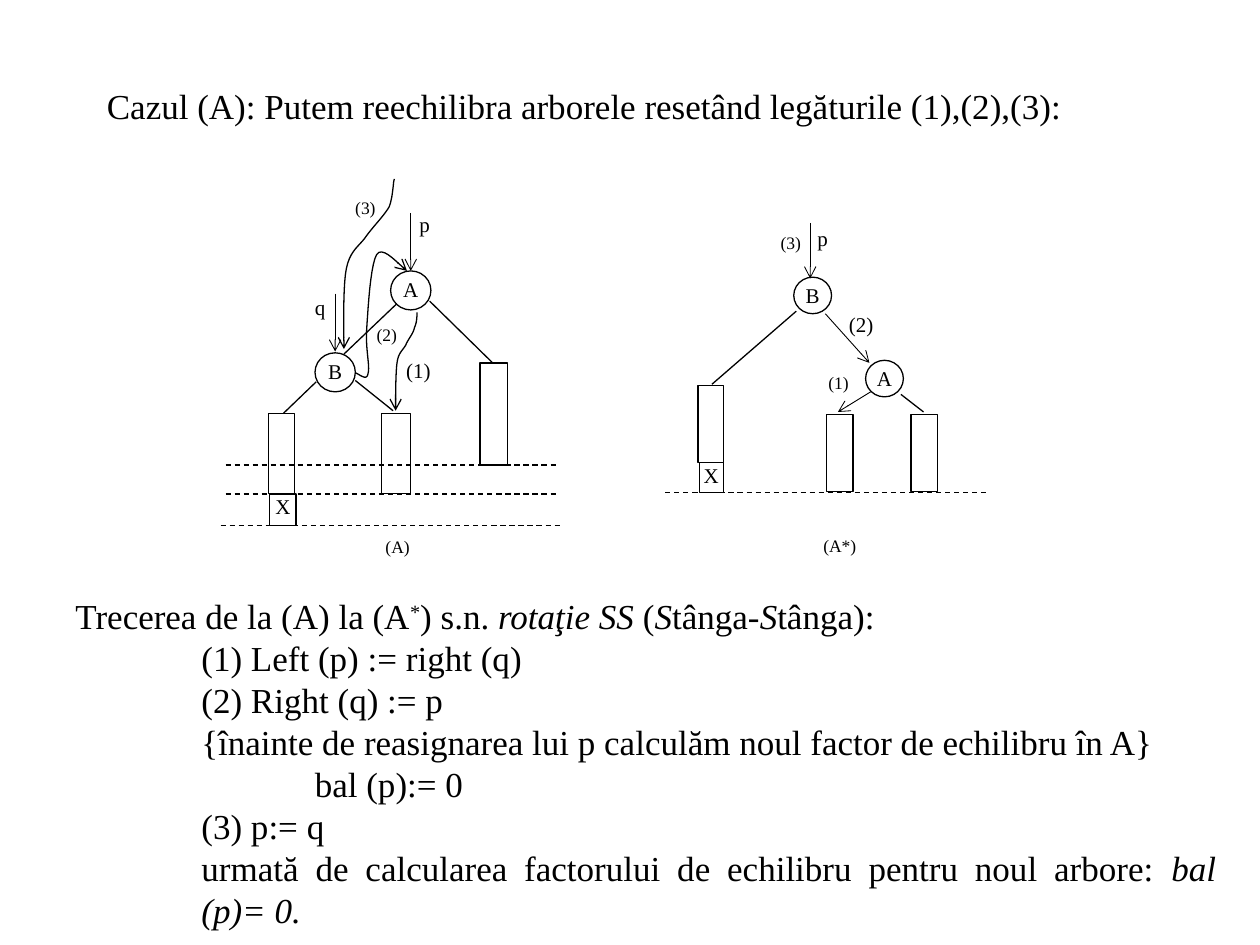
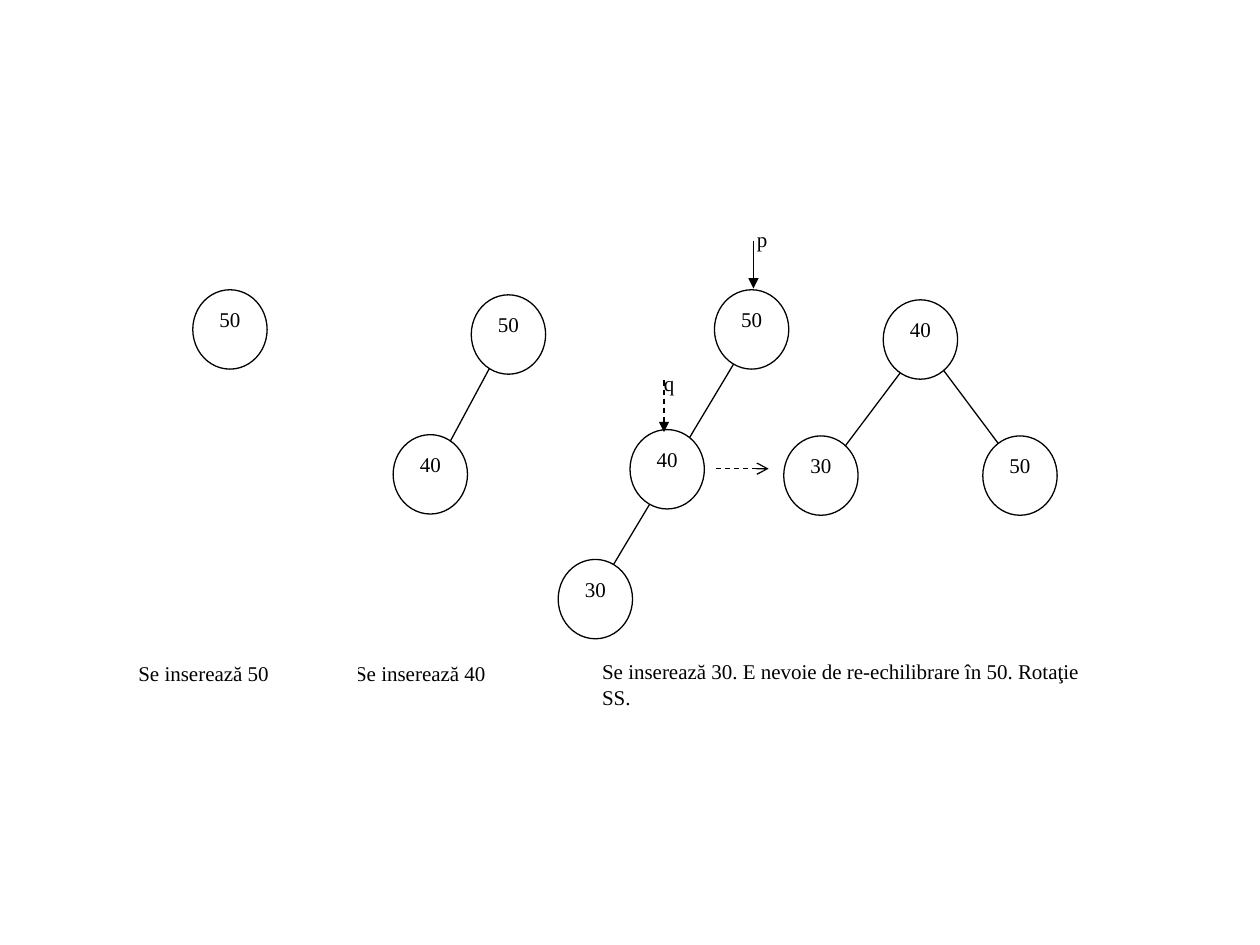
from lxml import etree
from pptx import Presentation
from pptx.dml.color import RGBColor
from pptx.enum import dml, shapes, text
from pptx.oxml import ns
from pptx.util import Emu, Pt

PX = 9144  # EMU per px, 100 px to the inch
INK = RGBColor(0, 0, 0)
PAPER = RGBColor(255, 255, 255)
FONT = "Times New Roman"
LEFT, CENTER, JUSTIFY = (text.PP_ALIGN.LEFT, text.PP_ALIGN.CENTER,
                         text.PP_ALIGN.JUSTIFY)
RECT = shapes.MSO_SHAPE.RECTANGLE
BOX_INSETS = (10, 5, 10, 5)
LABEL_INSETS = (4, 4, 4, 4)
NO_INSETS = (0, 0, 0, 0)


def px(*lengths):
    return [Emu(round(n * PX)) for n in lengths]


# Text
def add_run(paragraph, wording, size, style=""):
    run = paragraph.add_run()
    run.text = wording
    run.font.name = FONT
    run.font.size = Pt(size)
    run.font.color.rgb = INK
    run.font.italic = style == "italic"
    if style == "super":
        run.font._element.set("baseline", "30000")


def set_frame(shape, insets, anchor=text.MSO_ANCHOR.TOP):
    frame = shape.text_frame
    frame.word_wrap = True
    frame.vertical_anchor = anchor
    (frame.margin_left, frame.margin_top,
     frame.margin_right, frame.margin_bottom) = px(*insets)
    return frame


def write(shape, wording, size, align, insets):
    paragraph = set_frame(shape, insets).paragraphs[0]
    paragraph.alignment = align
    add_run(paragraph, wording, size)


# Lines
def ink_line(shape, width=0.75, dashed=False, head=None):
    shape.line.color.rgb = INK
    shape.line.width = Pt(width)
    if dashed:
        shape.line.dash_style = dml.MSO_LINE.DASH
    if head:
        ln = shape.line._get_or_add_ln()
        etree.SubElement(ln, ns.qn("a:tailEnd"), type=head)


def add_line(slide, x1, y1, x2, y2, width=0.75, dashed=False, head=None):
    line = slide.shapes.add_connector(
        shapes.MSO_CONNECTOR.STRAIGHT, *px(x1, y1, x2, y2))
    ink_line(line, width, dashed, head)
    etree.SubElement(line._element.spPr, ns.qn("a:effectLst"))


def bezier(p0, p1, p2, p3, steps=10):
    for i in range(1, steps + 1):
        t = i / steps
        weights = ((1 - t) ** 3, 3 * t * (1 - t) ** 2, 3 * t * t * (1 - t), t ** 3)
        yield tuple(sum(w * p[axis] for w, p in zip(weights, (p0, p1, p2, p3)))
                    for axis in (0, 1))


def add_curved_arrow(slide, points):
    """Draw a chain of cubic curves: a start, then three points for each."""
    track = [p for i in range(0, len(points) - 1, 3)
             for p in bezier(*points[i:i + 4])]
    builder = slide.shapes.build_freeform(*px(*points[0]), scale=1.0)
    builder.add_line_segments([px(*p) for p in track], close=False)
    curve = builder.convert_to_shape()
    curve.fill.background()
    curve.shadow.inherit = False
    ink_line(curve, head="arrow")


# Boxes and nodes
def add_box(slide, at, kind=RECT, outlined=True):
    box = slide.shapes.add_shape(kind, *px(*at))
    box.shadow.inherit = False
    box.fill.solid()
    box.fill.fore_color.rgb = PAPER
    if outlined:
        ink_line(box)
    else:
        box.line.fill.background()
    return box


def add_label(slide, wording, at, size=10, insets=LABEL_INSETS):
    write(slide.shapes.add_textbox(*px(*at)), wording, size, CENTER, insets)


def add_plate(slide, wording, at, align=LEFT, insets=BOX_INSETS):
    write(add_box(slide, at, outlined=False), wording, 12, align, insets)


def add_subtree(slide, at, mark=None):
    box = add_box(slide, at)
    if mark:
        write(box, mark, 12, CENTER, NO_INSETS)


def add_pointer_node(slide, name, at):
    node = add_box(slide, at, shapes.MSO_SHAPE.FLOWCHART_CONNECTOR)
    write(node, name, 12, CENTER, NO_INSETS)


def add_key_node(slide, key, left, top):
    node = add_box(slide, (left, top, 59, 63), shapes.MSO_SHAPE.OVAL)
    write(node, key, 12, CENTER, (0, 4, 0, 0))


# Slide 1: the rotation
def draw_tree_before(slide):
    add_plate(slide, "(1)", (313, 280, 38, 41), CENTER, LABEL_INSETS)
    add_label(slide, "(2)", (288, 253, 38, 41))
    add_label(slide, "(3)", (271, 152, 38, 41))
    add_plate(slide, "p", (321, 164, 32, 41), CENTER, LABEL_INSETS)
    add_plate(slide, "q", (238, 230, 32, 41), CENTER, LABEL_INSETS)
    add_pointer_node(slide, "B", (250, 280, 32, 31))
    add_pointer_node(slide, "A", (310, 215, 32, 31))
    for edge in ((315, 241, 273, 281), (251, 303, 225, 328),
                 (282, 302, 312, 326), (341, 239, 391, 288)):
        add_line(slide, *edge)
    for pointer in ((326, 169, 326, 215), (266, 233, 266, 279)):
        add_line(slide, *pointer, width=0.5, head="arrow")
    for link in (
        [(282, 296), (284, 296), (291, 303), (292, 297), (294, 291), (290, 278),
         (291, 262), (292, 246), (294, 210), (299, 202), (304, 194), (318, 212),
         (323, 215)],
        [(331, 248), (331, 250), (331, 256), (329, 260), (328, 265), (324, 269),
         (322, 274), (319, 279), (316, 280), (315, 289), (314, 297), (314, 318),
         (314, 326)],
        [(313, 142), (312, 145), (312, 156), (309, 164), (305, 171), (297, 179),
         (291, 187), (286, 195), (278, 198), (275, 213), (272, 227), (273, 263),
         (273, 277)],
    ):
        add_curved_arrow(slide, link)
    for subtree in ((381, 288, 22, 81), (213, 328, 21, 64), (303, 328, 23, 64)):
        add_subtree(slide, subtree)
    add_subtree(slide, (214, 392, 21, 25), "X")
    for left, right, level in ((179, 444, 369), (179, 444, 392), (175, 446, 417)):
        add_line(slide, left, level, right, level, dashed=True)
    add_label(slide, "(A)", (293, 425, 45, 35), insets=NO_INSETS)


def draw_tree_after(slide):
    add_label(slide, "p", (638, 175, 30, 39), 12)
    add_label(slide, "(1)", (648, 291, 35, 30))
    add_label(slide, "(2)", (666, 243, 35, 39), 12)
    add_label(slide, "(3)", (610, 180, 35, 39))
    add_pointer_node(slide, "B", (630, 220, 30, 29))
    add_pointer_node(slide, "A", (687, 286, 30, 29))
    for link in ((691, 311, 665, 327), (655, 249, 690, 288), (643, 177, 643, 221)):
        add_line(slide, *link, width=0.5, head="arrow")
    for edge in ((632, 247, 565, 305), (715, 313, 733, 327)):
        add_line(slide, *edge)
    for subtree in ((656, 329, 21, 61), (723, 329, 21, 61), (554, 306, 20, 61)):
        add_subtree(slide, subtree)
    add_line(slide, 528, 391, 783, 391, dashed=True)
    add_subtree(slide, (555, 367, 19, 24), "X")
    add_label(slide, "(A*)", (643, 425, 47, 33), insets=NO_INSETS)


def write_steps(slide):
    steps = (
        (0, [("Trecerea de la (A) la (A", ""), ("*", "super"), (") s.n. ", ""),
             ("rotaţie SS", "italic"), (" (", ""), ("S", "italic"),
             ("tânga-", ""), ("S", "italic"), ("tânga):", "")]),
        (100, [("(1) Left (p) := right (q)", "")]),
        (100, [("(2) Right (q) := p", "")]),
        (100, [("{înainte de reasignarea lui p calculăm noul factor "
                "de echilibru în A}", "")]),
        (190, [("bal (p):= 0", "")]),
        (100, [("(3) p:= q", "")]),
        (100, [("urmată de calcularea factorului de echilibru pentru "
                "noul arbore: ", ""), ("bal (p)= 0.", "italic")]),
    )
    frame = set_frame(slide.shapes.add_textbox(*px(50, 467, 925, 244)), BOX_INSETS)
    for i, (indent, runs) in enumerate(steps):
        paragraph = frame.add_paragraph() if i else frame.paragraphs[0]
        paragraph.alignment = JUSTIFY
        paragraph._p.get_or_add_pPr().set("marL", str(indent * PX))
        for wording, style in runs:
            add_run(paragraph, wording, 20, style)


def build_rotation(slide):
    heading = set_frame(slide.shapes.add_textbox(*px(75, 67, 850, 33)),
                        BOX_INSETS, text.MSO_ANCHOR.MIDDLE)
    add_run(heading.paragraphs[0],
            "Cazul (A): Putem reechilibra arborele resetând legăturile (1),(2),(3):", 20)
    draw_tree_before(slide)
    draw_tree_after(slide)
    write_steps(slide)


# Slide 2: inserting 50, 40 and 30
def build_insertions(slide):
    add_plate(slide, "Se inserează 40", (272, 519, 184, 59), JUSTIFY)
    add_plate(slide, "Se inserează 50", (100, 519, 184, 59), JUSTIFY)
    add_plate(slide, "Se inserează 30. E nevoie de re-echilibrare în 50. Rotaţie SS.",
              (468, 518, 399, 82))
    add_plate(slide, "p", (591, 175, 43, 49))
    add_plate(slide, "q", (517, 289, 43, 49))

    for edge in ((401, 269, 336, 390), (599, 261, 457, 498),
                 (731, 270, 814, 381), (734, 270, 652, 379)):
        add_line(slide, *edge)
    for key, left, top in (
        ("50", 153, 230),
        ("50", 374, 234), ("40", 312, 345),
        ("50", 567, 230), ("40", 500, 341), ("30", 443, 444),
        ("40", 701, 238), ("30", 622, 346), ("50", 780, 346),
    ):
        add_key_node(slide, key, left, top)

    add_line(slide, 598, 191, 598, 229, head="triangle")
    add_line(slide, 527, 302, 527, 343, dashed=True, head="triangle")
    add_line(slide, 568, 372, 610, 372, dashed=True, head="arrow")


def main():
    deck = Presentation()
    deck.slide_width, deck.slide_height = px(1000, 750)
    for build in (build_rotation, build_insertions):
        build(deck.slides.add_slide(deck.slide_layouts[6]))
    deck.save("out.pptx")


if __name__ == "__main__":
    main()
